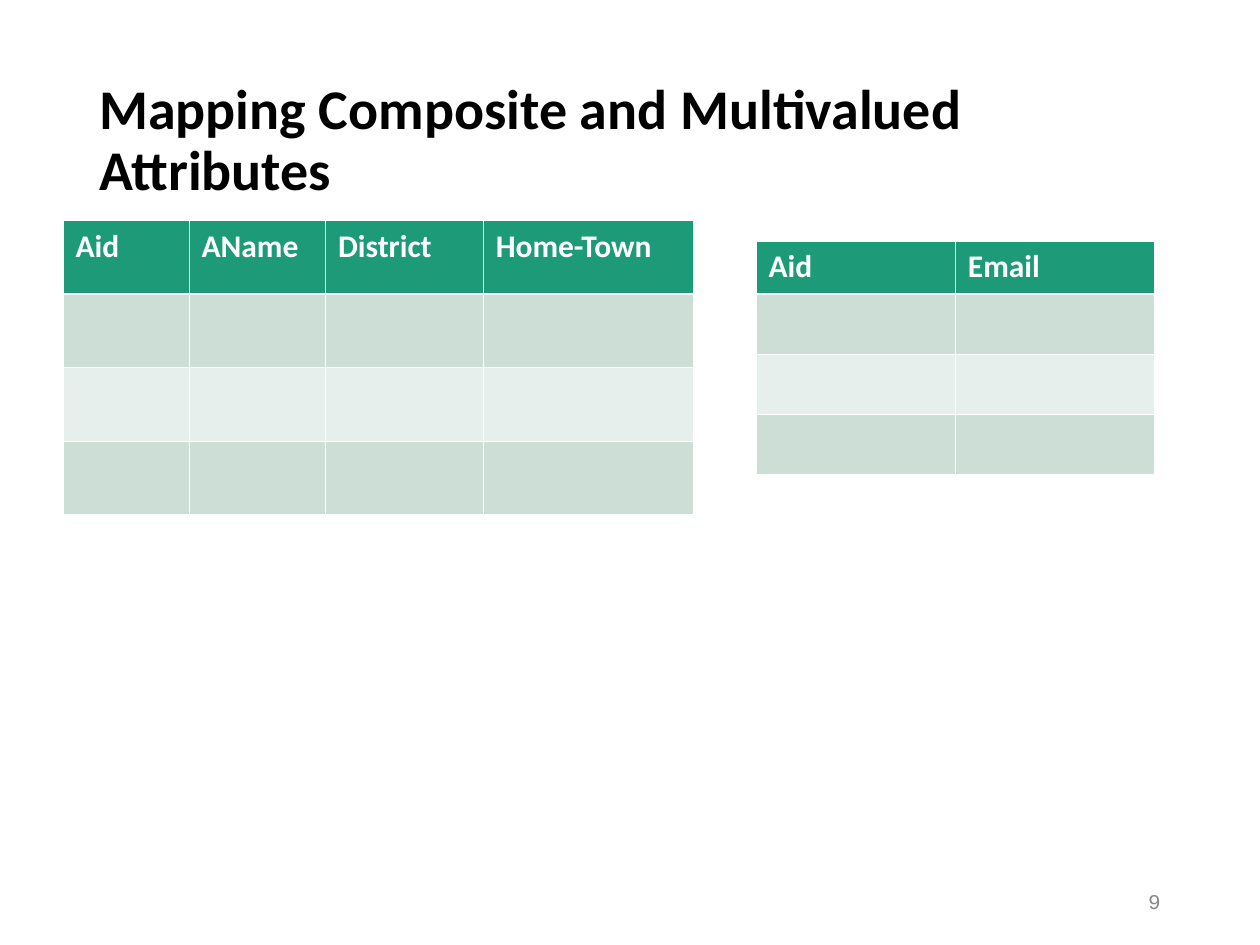
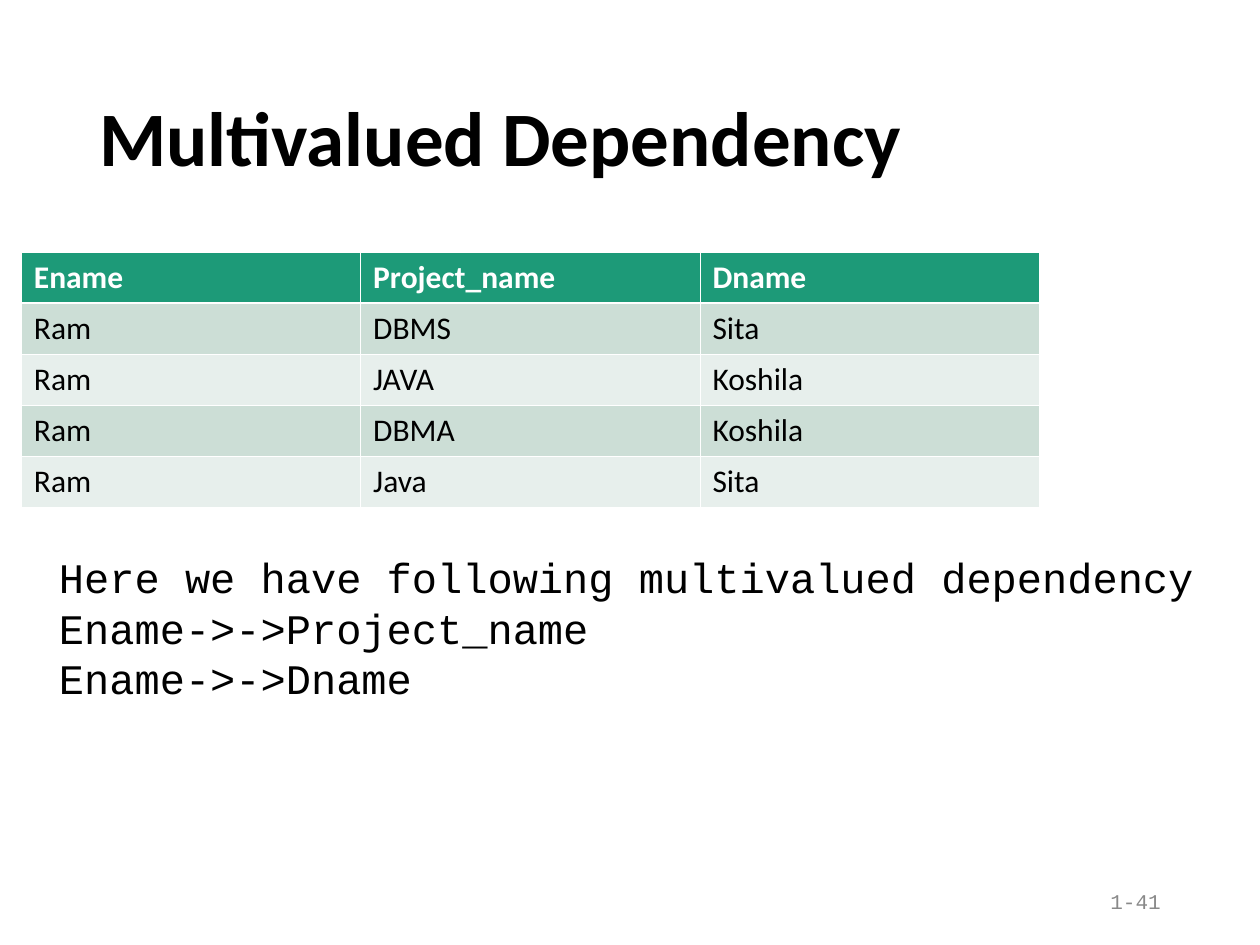
import pptx
import pptx.util
import pptx.dml.color
import pptx.enum.text
import pptx.oxml.ns
import lxml.etree

Cm = pptx.util.Cm
Pt = pptx.util.Pt
RGBColor = pptx.dml.color.RGBColor
Align = pptx.enum.text.PP_ALIGN
Anchor = pptx.enum.text.MSO_ANCHOR
Fit = pptx.enum.text.MSO_AUTO_SIZE

BLACK = RGBColor(0x00, 0x00, 0x00)
WHITE = RGBColor(0xFF, 0xFF, 0xFF)
GREY = RGBColor(0x89, 0x89, 0x89)
GREEN = RGBColor(0x1D, 0x9A, 0x78)
SAGE = RGBColor(0xCC, 0xDE, 0xD6)
MIST = RGBColor(0xE7, 0xEF, 0xEC)
SANS = "Calibri"
MONO = "Courier New"
THIN = 0.45
THICK = 1.47


def write(frame, text, font=SANS, size=18, color=BLACK, bold=False,
          align=Align.LEFT, space=None):
    for i, line in enumerate(text.split("\n")):
        para = frame.add_paragraph() if i else frame.paragraphs[0]
        para.alignment = align
        para.line_spacing = space
        run = para.add_run()
        run.text = line
        run.font.name = font
        run.font.size = Pt(size)
        run.font.bold = bold
        run.font.color.rgb = color


def add_text(slide, text, left, top, width, height, wrap=True,
             anchor=Anchor.MIDDLE, fit=Fit.NONE, **style):
    box = slide.shapes.add_textbox(Cm(left), Cm(top), Cm(width), Cm(height))
    frame = box.text_frame
    frame.word_wrap = wrap
    frame.auto_size = fit
    frame.vertical_anchor = anchor
    write(frame, text, **style)


def add_edge(cell, side, width):
    qn = pptx.oxml.ns.qn
    props = cell._tc.get_or_add_tcPr()
    line = lxml.etree.SubElement(props, qn("a:ln" + side), w=str(Pt(width)))
    fill = lxml.etree.SubElement(line, qn("a:solidFill"))
    lxml.etree.SubElement(fill, qn("a:srgbClr"), val=str(WHITE))


def add_table(slide, left, top, widths, heights, data):
    shape = slide.shapes.add_table(
        len(heights), len(widths), Cm(left), Cm(top),
        Cm(sum(widths)), Cm(sum(heights)))
    table = shape.table
    for col, width in zip(table.columns, widths):
        col.width = Cm(width)
    for r, height in enumerate(heights):
        table.rows[r].height = Cm(height)
        head = r == 0
        for c in range(len(widths)):
            cell = table.cell(r, c)
            for side in "LRTB":
                heavy = (r, side) in ((0, "B"), (1, "T"))
                add_edge(cell, side, THICK if heavy else THIN)
            cell.fill.solid()
            cell.fill.fore_color.rgb = GREEN if head else SAGE if r % 2 else MIST
            if r < len(data):
                write(cell.text_frame, data[r][c], bold=head,
                      color=WHITE if head else BLACK)


def add_slide(deck, title, size, number):
    slide = deck.slides.add_slide(deck.slide_layouts[6])
    add_text(slide, title, 1.75, 1.02, 21.92, 3.68,
             size=size, bold=True, space=0.9)
    add_text(slide, number, 17.93, 17.65, 5.72, 1.02,
             font=MONO, size=12, color=GREY, align=Align.RIGHT)
    return slide


def add_map(deck):
    slide = add_slide(deck, "Mapping Composite and Multivalued Attributes", 32, "9")
    add_table(slide, 1.27, 4.45, [2.54, 2.75, 3.18, 4.23], [1.48] * 4,
              [["Aid", "AName", "District", "Home-Town"]])
    add_table(slide, 15.24, 4.87, [4.02] * 2, [1.06] + [1.21] * 3,
              [["Aid", "Email"]])


def add_depend(deck):
    slide = add_slide(deck, "Multivalued Dependency", 44, "1-41")
    add_table(slide, 0.43, 5.08, [6.84] * 3, [1.03] * 5, [
        ["Ename", "Project_name", "Dname"],
        ["Ram", "DBMS", "Sita"],
        ["Ram", "JAVA", "Koshila"],
        ["Ram", "DBMA", "Koshila"],
        ["Ram", "Java", "Sita"],
    ])
    add_text(slide, "Here we have following multivalued dependency\n"
             "Ename->->Project_name\nEname->->Dname",
             0.94, 11, 23.37, 3.3, wrap=False, anchor=Anchor.TOP,
             fit=Fit.SHAPE_TO_FIT_TEXT, font=MONO, size=24)


def main():
    deck = pptx.Presentation()
    deck.slide_width = Cm(25.4)
    deck.slide_height = Cm(19.05)
    add_map(deck)
    add_depend(deck)
    deck.save("out.pptx")


if __name__ == "__main__":
    main()
